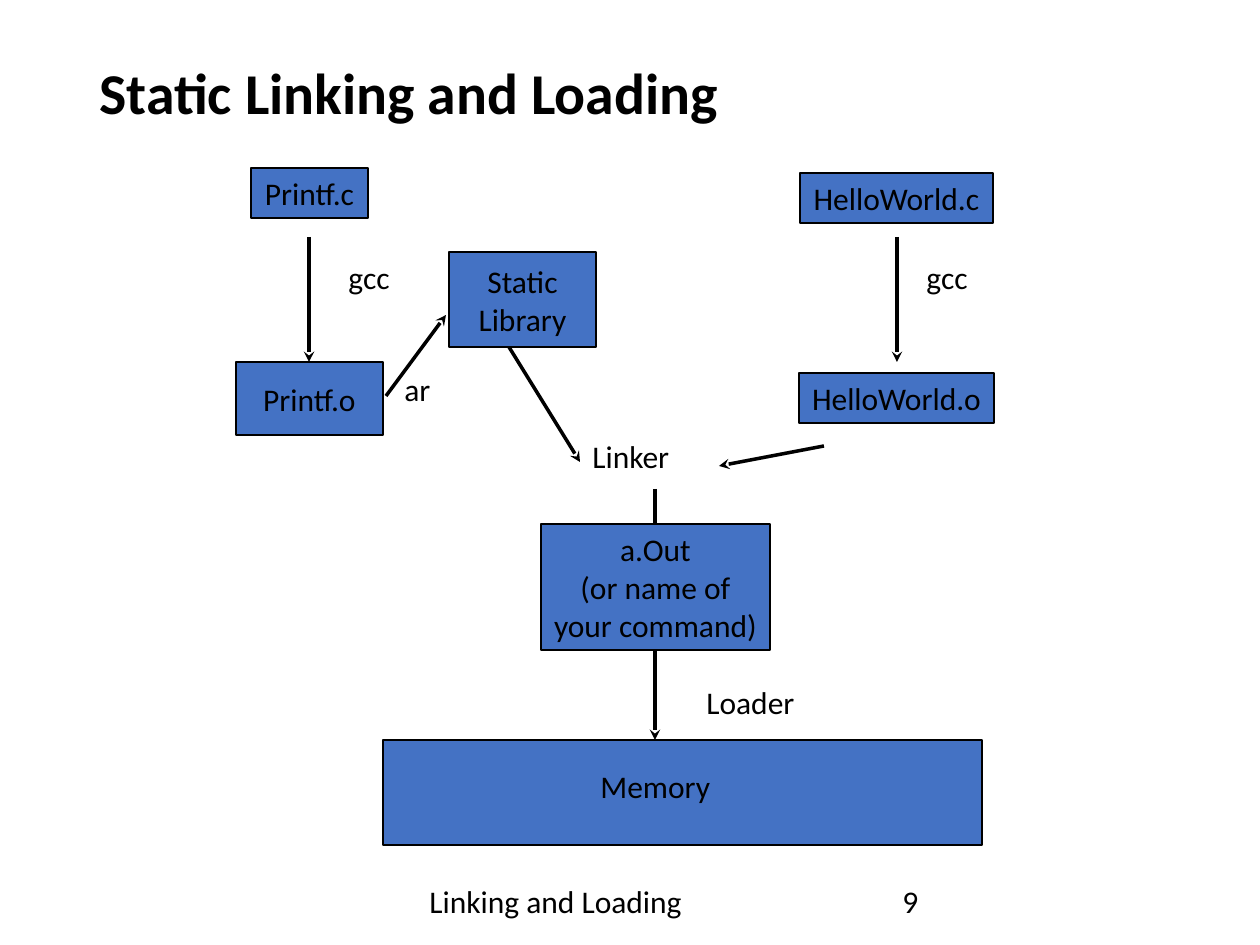
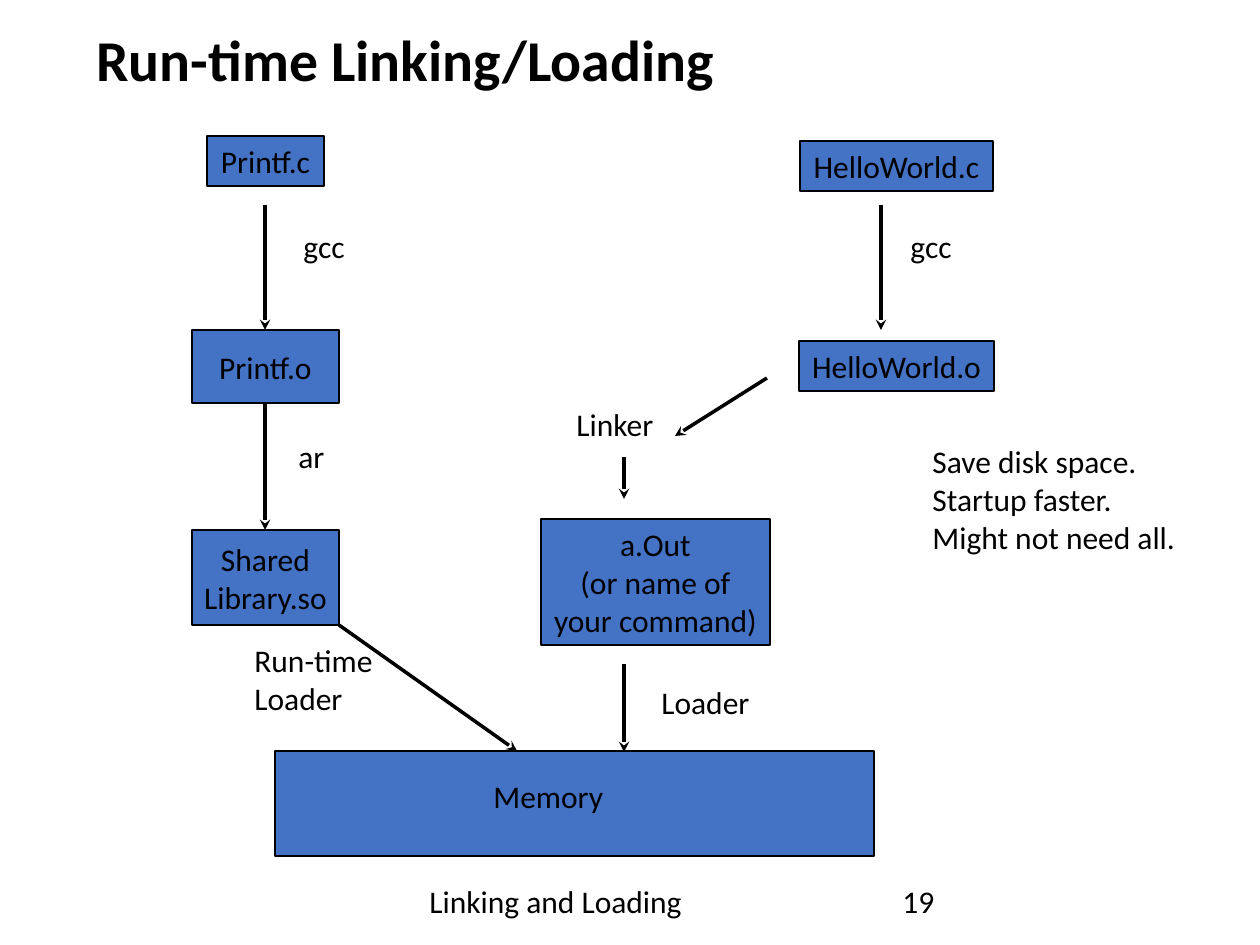
"""Build two slides that compare static and run-time linking and loading."""
from lxml import etree
from pptx import Presentation
from pptx.dml.color import RGBColor
from pptx.enum.shapes import MSO_CONNECTOR, MSO_SHAPE
from pptx.enum.text import MSO_ANCHOR, PP_ALIGN
from pptx.oxml.ns import qn
from pptx.util import Pt

PX = 914400 / 126
BLACK = RGBColor(0x00, 0x00, 0x00)
BLUE = RGBColor(0x44, 0x72, 0xC4)
FONT = "Calibri"
RECTANGLE = MSO_SHAPE.RECTANGLE
STRAIGHT = MSO_CONNECTOR.STRAIGHT
TOP, MIDDLE = MSO_ANCHOR.TOP, MSO_ANCHOR.MIDDLE
LEFT, CENTER = PP_ALIGN.LEFT, PP_ALIGN.CENTER

COMMAND = "a.Out\v(or name of\vyour command)"
BOX_SIZES = {
    "Printf.c": (117, 50),
    "Printf.o": (147, 73),
    "Static\nLibrary": (147, 95),
    "Shared\nLibrary.so": (147, 95),
    "HelloWorld.c": (193, 50),
    "HelloWorld.o": (195, 50),
    COMMAND: (229, 126),
    "": (599, 105),
}
LABEL_SIZES = {
    "gcc": (67, 50),
    "ar": (52, 50),
    "Linker": (103, 50),
    "Loader": (113, 50),
    "Memory": (135, 50),
    "Run-time\nLoader": (144, 88),
    "Save disk space.\nStartup faster.\nMight not need all.": (268, 164),
}

STATIC_LINKING = {
    "title": ("Static Linking and Loading", (87, 4, 1087, 183)),
    "number": "9",
    "arrows": [
        (309, 237, 309, 362),
        (386, 396, 446, 315),
        (509, 347, 580, 462),
        (655, 489, 655, 551),
        (655, 625, 655, 740),
        (897, 237, 897, 362),
        (824, 446, 719, 466),
    ],
    "boxes": [
        ("Printf.c", 251, 168),
        ("Printf.o", 236, 362),
        ("Static\nLibrary", 449, 252),
        ("HelloWorld.c", 800, 173),
        ("HelloWorld.o", 799, 373),
        (COMMAND, 541, 524),
        ("", 383, 740),
    ],
    "labels": [
        ("gcc", 336, 252),
        ("ar", 392, 364),
        ("Linker", 580, 431),
        ("gcc", 914, 252),
        ("Loader", 694, 677),
        ("Memory", 588, 761),
    ],
}
RUN_TIME_LINKING = {
    "title": ("Run-time Linking/Loading", (84, 0, 1071, 126)),
    "number": "19",
    "arrows": [
        (265, 205, 265, 330),
        (265, 404, 265, 530),
        (339, 625, 517, 751),
        (624, 457, 624, 499),
        (624, 664, 624, 752),
        (881, 205, 881, 330),
        (767, 378, 675, 436),
    ],
    "boxes": [
        ("Printf.c", 207, 136),
        ("Printf.o", 192, 330),
        ("Shared\nLibrary.so", 192, 530),
        ("HelloWorld.c", 800, 141),
        ("HelloWorld.o", 799, 341),
        (COMMAND, 541, 519),
        ("", 275, 751),
    ],
    "labels": [
        ("gcc", 291, 221),
        ("ar", 286, 431),
        ("Linker", 564, 399),
        ("gcc", 898, 221),
        ("Loader", 649, 677),
        ("Memory", 481, 771),
        ("Save disk space.\nStartup faster.\nMight not need all.", 920, 436),
        ("Run-time\nLoader", 242, 635),
    ],
}


def scale(*lengths):
    return [round(length * PX) for length in lengths]


def write(shape, text, anchor=TOP, align=LEFT, size=18, bold=False, wrap=False):
    frame = shape.text_frame
    frame.text = text
    frame.word_wrap = wrap
    frame.vertical_anchor = anchor
    for para in frame.paragraphs:
        para.alignment = align
        para.font.name = FONT
        para.font.size = Pt(size)
        para.font.bold = bold
        para.font.color.rgb = BLACK


deck = Presentation()
deck.slide_width, deck.slide_height = scale(1260, 945)
blank = deck.slide_layouts[6]

for content in (STATIC_LINKING, RUN_TIME_LINKING):
    page = deck.slides.add_slide(blank)
    shapes = page.shapes

    title_text, title_place = content["title"]
    title = shapes.add_textbox(*scale(*title_place))
    write(title, title_text, MIDDLE, size=33, bold=True, wrap=True)
    title.text_frame.paragraphs[0].line_spacing = 0.9

    footer = shapes.add_textbox(*scale(417, 876, 425, 50))
    write(footer, "Linking and Loading", MIDDLE, wrap=True)
    number = shapes.add_textbox(*scale(890, 876, 284, 50))
    write(number, content["number"], MIDDLE, wrap=True)

    for ends in content["arrows"]:
        arrow = shapes.add_connector(STRAIGHT, *scale(*ends))
        arrow.line.color.rgb = BLACK
        arrow.line.width = Pt(2)
        tail = etree.SubElement(arrow.line._get_or_add_ln(), qn("a:tailEnd"))
        tail.set("type", "stealth")
        etree.SubElement(arrow._element.spPr, qn("a:effectLst"))

    for text, left, top in content["boxes"]:
        box = shapes.add_shape(RECTANGLE, *scale(left, top, *BOX_SIZES[text]))
        box.shadow.inherit = False
        box.fill.solid()
        box.fill.fore_color.rgb = BLUE
        box.line.color.rgb = BLACK
        box.line.width = Pt(1)
        if text:
            write(box, text, MIDDLE, CENTER)

    for text, left, top in content["labels"]:
        label = shapes.add_textbox(*scale(left, top, *LABEL_SIZES[text]))
        write(label, text)

deck.save("out.pptx")
